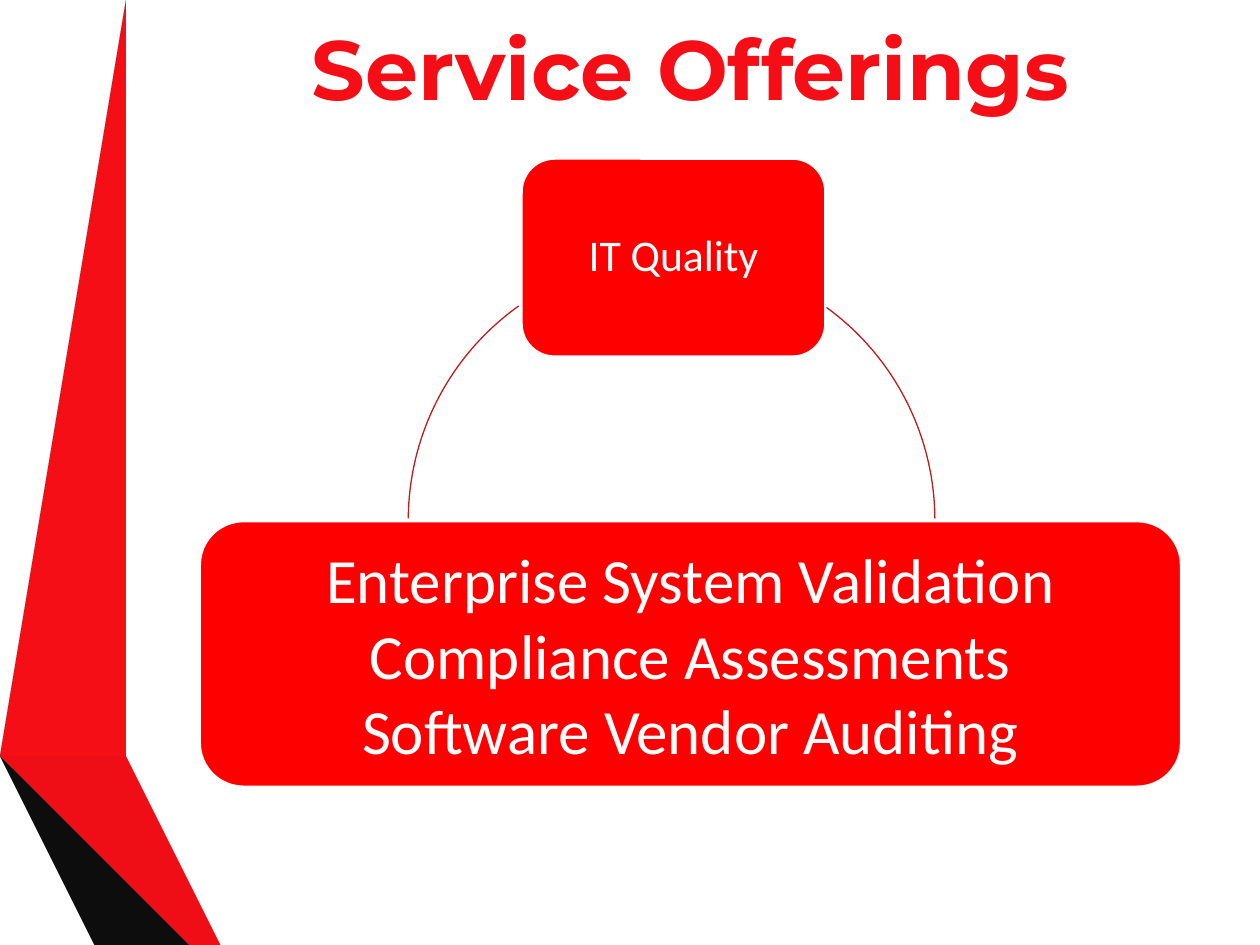
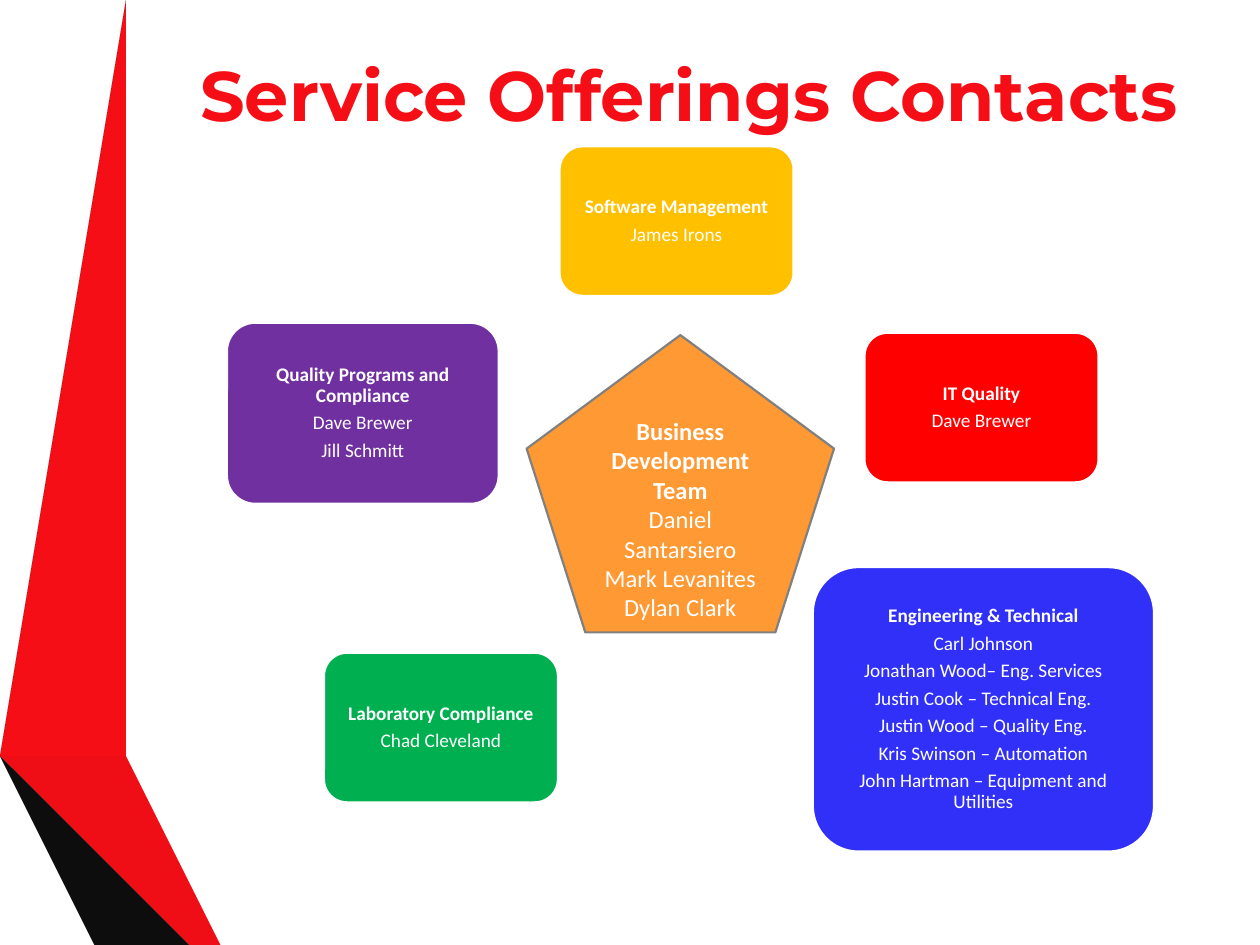
from dataclasses import dataclass

import pptx
import pptx.dml.color
import pptx.enum.shapes
import pptx.enum.text
import pptx.util

Inches = pptx.util.Inches
Pt = pptx.util.Pt
SHAPE = pptx.enum.shapes.MSO_SHAPE


@dataclass(frozen=True)
class Theme:
    title_font: str = "Montserrat"
    body_font: str = "Calibri"
    title: str = "F60E16"
    white: str = "FFFFFF"
    red: str = "FF0000"
    arc: str = "BC1C1C"
    yellow: str = "FFC000"
    blue: str = "3030F8"
    green: str = "00B050"
    purple: str = "7030A0"
    orange: str = "FF9933"
    gray: str = "808080"
    topic_size: int = 25
    services_size: int = 36
    card_size: int = 11
    team_size: int = 14


THEME = Theme()

# Side ribbon: colour and outline of each facet
RIBBON = [
    ("F60E16", [(0.38, 5.78), (0.58, 5.83), (1.3, 0), (1.09, 0)]),
    ("0D0D0D", [(1.04, 0), (0.83, 0), (0.12, 5.73), (0.33, 5.77)]),
    ("262626", [(0.12, 5.73), (1.09, 7.5), (1.13, 7.5)]),
    ("5E0E0E", [(0.38, 5.79), (1.56, 7.5), (1.6, 7.5)]),
    ("EF0E15", [(0.38, 5.79), (1.6, 7.5), (2.12, 7.5), (0.58, 5.83), (0.38, 5.78)]),
    ("0D0D0D", [(1.51, 7.5), (0.36, 5.83), (0.32, 5.78), (0.33, 5.77),
                (0.12, 5.73), (1.13, 7.5)]),
]

# Contact cards: offset and size in the diagram, colour, padding, heading, people
CONTACT_CARDS = [
    ((2.64, 0, 1.9, 1.23), THEME.yellow, 0, "Software Management", ["James Irons"]),
    ((5.06, 1.48, 1.9, 1.23), THEME.red, 0.05, "IT Quality", ["Dave Brewer"]),
    ((4.65, 3.34, 2.75, 2.3), THEME.blue, 0.05, "Engineering & Technical",
     ["Carl Johnson", "Jonathan Wood– Eng. Services",
      "Justin Cook – Technical Eng.", "Justin Wood – Quality Eng.",
      "Kris Swinson – Automation", "John Hartman – Equipment and Utilities"]),
    ((0.77, 4.02, 1.9, 1.23), THEME.green, 0.05, "Laboratory Compliance",
     ["Chad Cleveland"]),
    ((0, 1.4, 2.2, 1.48), THEME.purple, 0.05, "Quality Programs and Compliance",
     ["Dave Brewer", "Jill Schmitt"]),
]


def set_values(target, values):
    for name, value in values.items():
        setattr(target, name, value)


def color(value):
    return pptx.dml.color.RGBColor.from_string(value)


def paint(shape, fill=None, line=None, line_width=0):
    shape.shadow.inherit = False
    if fill:
        shape.fill.solid()
        shape.fill.fore_color.rgb = color(fill)
    else:
        shape.fill.background()
    if line:
        shape.line.color.rgb = color(line)
        shape.line.width = Pt(line_width)
    else:
        shape.line.fill.background()


def place(box, offset):
    """Turn an offset rectangle inside a box into slide lengths."""
    left, top, width, height = offset
    return [Inches(value) for value in (box[0] + left, box[1] + top, width, height)]


def write(shape, lines, size, font=THEME.body_font, text_color=THEME.white,
          bold_lines=0, padding=None, paragraph_format=None):
    frame = shape.text_frame
    set_values(frame, {"word_wrap": True,
                       "auto_size": pptx.enum.text.MSO_AUTO_SIZE.NONE,
                       "vertical_anchor": pptx.enum.text.MSO_ANCHOR.MIDDLE})
    if padding is not None:
        set_values(frame, {f"margin_{side}": Inches(padding)
                           for side in ("left", "top", "right", "bottom")})
    frame.text = "\n".join(lines)
    for index, paragraph in enumerate(frame.paragraphs):
        set_values(paragraph, {"alignment": pptx.enum.text.PP_ALIGN.CENTER,
                               **(paragraph_format or {})})
        run_font = paragraph.runs[0].font
        set_values(run_font, {"name": font, "size": Pt(size),
                              "bold": index < bold_lines})
        run_font.color.rgb = color(text_color)


def add_block(slide, kind, position, fill, line, line_width):
    shape = slide.shapes.add_shape(kind, *position)
    paint(shape, fill, line, line_width)
    return shape


def add_card(slide, position, fill, line_width, lines, size, padding, bold_lines=0):
    card = add_block(slide, SHAPE.ROUNDED_RECTANGLE, position, fill,
                     THEME.white, line_width)
    write(card, lines, size, bold_lines=bold_lines, padding=padding,
          paragraph_format={"line_spacing": 0.9, "space_after": Pt(0.35 * size)})


def add_ribbon(slide, layout):
    """Draw the ribbon and hand it to the layout that the slides share."""
    for index, (fill, points) in enumerate(RIBBON):
        builder = slide.shapes.build_freeform(*points[0], scale=Inches(1))
        builder.add_line_segments(points[1:], close=True)
        facet = builder.convert_to_shape()
        paint(facet, fill)
        facet.element.nvSpPr.cNvPr.set("id", str(100 + index))
        layout.shapes.element.insert(2 + index, facet.element)


def add_title(slide, box, text, size):
    title = slide.shapes.title
    set_values(title, dict(zip(("left", "top", "width", "height"),
                               place((0, 0), box))))
    write(title, [text], size, THEME.title_font, THEME.title, bold_lines=1)


def add_quality_diagram(slide, box):
    # Arcs that join the topic to its services, in degrees clockwise from the right
    for start, end in ((306, 6.6), (173.4, 234.5)):
        arc = slide.shapes.add_shape(SHAPE.ARC, *place(box, (1.66, 0.78, 4.18, 4.18)))
        paint(arc, line=THEME.arc, line_width=0.75)
        for index, angle in enumerate((start, end)):
            arc.adjustments[index] = angle * 0.6

    # Topic and services
    add_card(slide, place(box, (2.56, 0, 2.41, 1.57)), THEME.red, 1.25,
             ["IT Quality"], THEME.topic_size, padding=0.1)
    services = add_block(slide, SHAPE.ROUNDED_RECTANGLE,
                         place(box, (0, 2.87, 7.8, 2.12)), THEME.red,
                         THEME.white, 2.25)
    write(services, ["Enterprise System Validation", "Compliance Assessments",
                     "Software Vendor Auditing"], THEME.services_size)


def add_contact_diagram(slide, box):
    for offset, fill, padding, heading, people in CONTACT_CARDS:
        add_card(slide, place(box, offset), fill, 4.33, [heading, *people],
                 THEME.card_size, padding, bold_lines=1)

    # Team in the centre
    team = add_block(slide, SHAPE.REGULAR_PENTAGON, place(box, (2.4, 1.52, 2.44, 2.36)),
                     THEME.orange, THEME.gray, 1.25)
    write(team, ["Business Development Team", "Daniel Santarsiero",
                 "Mark Levanites", "Dylan Clark"], THEME.team_size, bold_lines=1)


def main():
    presentation = pptx.Presentation()
    set_values(presentation, {"slide_width": Inches(10), "slide_height": Inches(7.5)})
    layout = presentation.slide_layouts.get_by_name("Title Only")

    # Service offerings
    offerings = presentation.slides.add_slide(layout)
    add_ribbon(offerings, layout)
    add_title(offerings, (1.37, 0.19, 8.22, 0.68), "Service Offerings", 48)
    add_quality_diagram(offerings, (1.58, 1.26))

    # Contacts
    contacts = presentation.slides.add_slide(layout)
    add_title(contacts, (1.22, 0, 8.5, 1.49), "Service Offerings Contacts", 40)
    add_contact_diagram(contacts, (1.78, 1.14))

    presentation.save("out.pptx")


if __name__ == "__main__":
    main()
